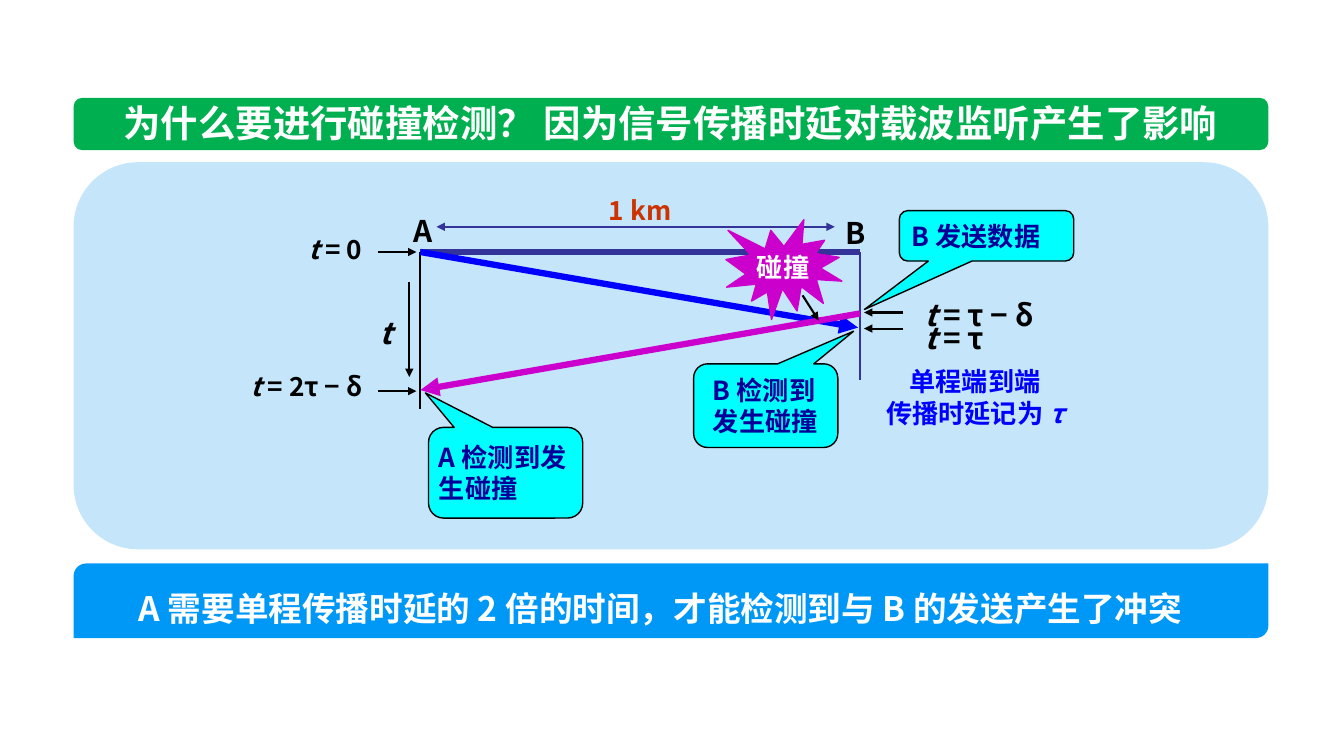
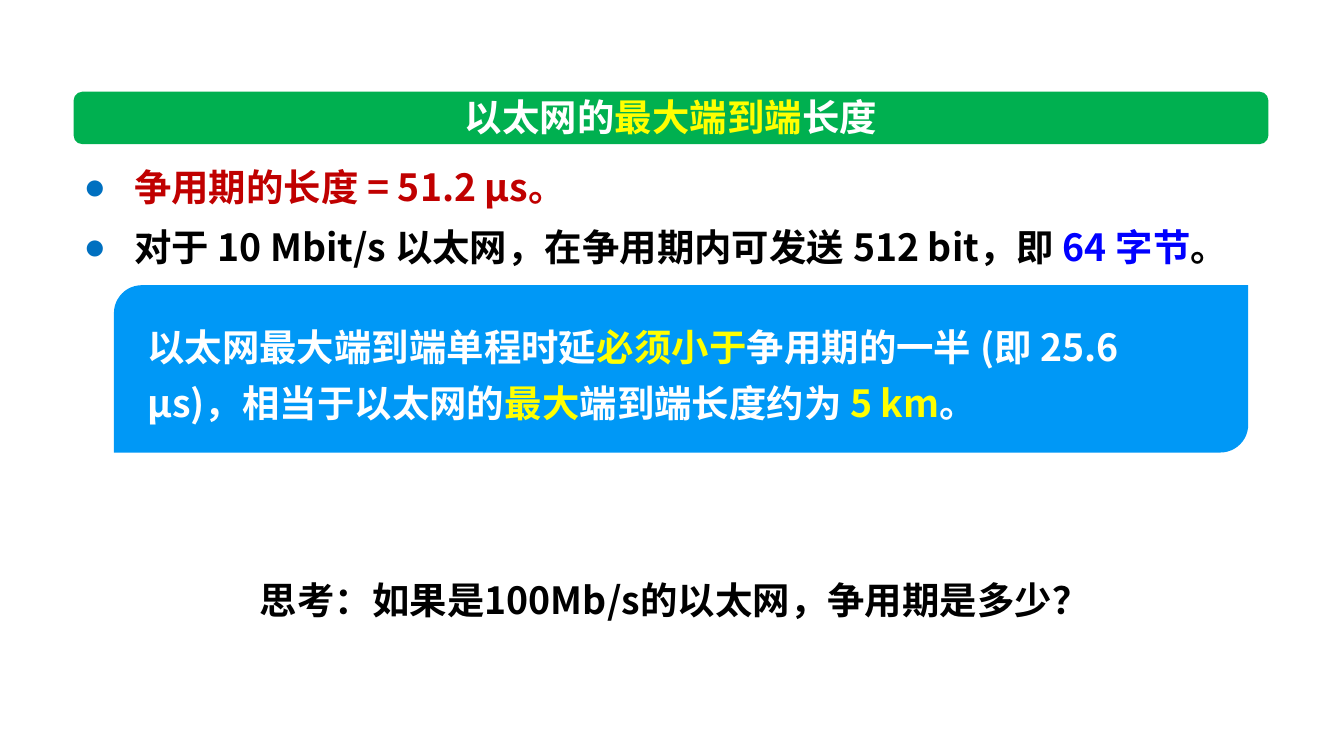
from lxml import etree
from pptx import Presentation
from pptx import util as u
from pptx.dml.color import RGBColor
from pptx.enum import shapes, text
from pptx.oxml.ns import qn

FONT = "Noto Sans CJK SC"
COLORS = {
    "green": "00B050", "blue": "0098F6", "panel": "C5E5FB", "white": "FFFFFF",
    "yellow": "FFFF00", "black": "000000", "indigo": "333399", "signal": "0000FF",
    "magenta": "CC00CC", "cyan": "00FFFF", "navy": "000099", "orange": "CC3300",
    "red": "C00000", "bullet": "0070C0",
}
TITLE_SIZE = 26.7
LABEL_SIZE = 18.7
LARGE_LABEL_SIZE = 21.3
BAND_LEFT, BAND_WIDTH = 0.73, 11.85
ALIGN = text.PP_ALIGN
ANCHOR = text.MSO_ANCHOR
PRESET = shapes.MSO_SHAPE


def rgb(name):
    return RGBColor.from_string(COLORS[name])


def box(left, top, width, height):
    return [u.Inches(value) for value in (left, top, width, height)]


# Text helpers
def write_paragraph(paragraph, pieces, size, align=ALIGN.LEFT, spacing=None):
    """Each piece is (text, colour) or (text, colour, italic)."""
    paragraph.alignment = align
    paragraph.space_before = u.Pt(0)
    if spacing:
        paragraph.line_spacing = u.Pt(spacing)
    for content, color, *italic in pieces:
        run = paragraph.add_run()
        run.text = content
        run.font.size = u.Pt(size)
        run.font.bold = True
        run.font.italic = bool(italic and italic[0])
        run.font.color.rgb = rgb(color)
        run.font.name = FONT
        east_asian = etree.SubElement(run.font._element, qn("a:ea"))
        east_asian.set("typeface", FONT)


def set_frame(shape, anchor=ANCHOR.TOP, left=0.1, top=0.05, right=0.1, wrap=True):
    frame = shape.text_frame
    frame.word_wrap = wrap
    frame.auto_size = text.MSO_AUTO_SIZE.NONE
    frame.vertical_anchor = anchor
    frame.margin_left, frame.margin_right = u.Inches(left), u.Inches(right)
    frame.margin_top, frame.margin_bottom = u.Inches(top), u.Inches(0.05)
    return frame


def place(shape, left, top, width, height):
    shape.left, shape.top, shape.width, shape.height = box(left, top, width, height)


def add_label(slide, bounds, lines, size=LABEL_SIZE, align=ALIGN.LEFT, anchor=ANCHOR.TOP):
    shape = slide.shapes.add_textbox(*box(*bounds))
    frame = set_frame(shape, anchor)
    for index, pieces in enumerate(lines):
        paragraph = frame.add_paragraph() if index else frame.paragraphs[0]
        write_paragraph(paragraph, pieces, size, align)


def add_bullet(paragraph):
    properties = paragraph._p.get_or_add_pPr()
    properties.set("marL", str(u.Inches(0.5)))
    properties.set("indent", str(-u.Inches(0.5)))
    color = etree.SubElement(properties, qn("a:buClr"))
    etree.SubElement(color, qn("a:srgbClr")).set("val", COLORS["bullet"])
    etree.SubElement(properties, qn("a:buChar")).set("char", "●")


# Shape helpers
def add_block(slide, preset, bounds, fill, outline=None, adjustments=()):
    shape = slide.shapes.add_shape(preset, *box(*bounds))
    shape.shadow.inherit = False
    shape.fill.solid()
    shape.fill.fore_color.rgb = rgb(fill)
    if outline:
        shape.line.color.rgb = rgb(outline)
        shape.line.width = u.Pt(1)
    else:
        shape.line.fill.background()
    for index, value in enumerate(adjustments):
        shape.adjustments[index] = value
    return shape


def add_title(slide, top, pieces):
    band = add_block(slide, PRESET.ROUNDED_RECTANGLE, (BAND_LEFT, top, BAND_WIDTH, 0.52), "green")
    title = slide.shapes.title
    title.element.addprevious(band.element)
    place(title, BAND_LEFT, top - 0.03, BAND_WIDTH, 0.55)
    frame = set_frame(title, ANCHOR.MIDDLE)
    write_paragraph(frame.paragraphs[0], pieces, TITLE_SIZE, ALIGN.CENTER)


def add_message(slide, bounds, pieces, size, spacing, left, top=0.05):
    shape = add_block(slide, PRESET.ROUND_2_DIAG_RECTANGLE, bounds, "blue")
    frame = set_frame(shape, ANCHOR.MIDDLE, left, top, right=0.2)
    write_paragraph(frame.paragraphs[0], pieces, size, spacing=spacing)


def add_callout(slide, bounds, pointer, content, left):
    shape = add_block(slide, PRESET.ROUNDED_RECTANGULAR_CALLOUT, bounds, "cyan", "black", pointer)
    frame = set_frame(shape, ANCHOR.MIDDLE, left, right=0)
    write_paragraph(frame.paragraphs[0], [(content, "navy")], LABEL_SIZE)


def add_line(slide, start, end, color="black", width=1.5, arrows=("tailEnd",)):
    points = [u.Inches(value) for value in (*start, *end)]
    line = slide.shapes.add_connector(shapes.MSO_CONNECTOR.STRAIGHT, *points)
    line.line.color.rgb = rgb(color)
    line.line.width = u.Pt(width)
    for arrow in arrows:
        etree.SubElement(line.line._get_or_add_ln(), qn(f"a:{arrow}")).set("type", "triangle")
    etree.SubElement(line.element.spPr, qn("a:effectLst"))


def time_pieces(value):
    return [[("t", "black", True), (f" = {value}", "black")]]


# Slides
def build_collision_slide(presentation):
    slide = presentation.slides.add_slide(presentation.slide_layouts[5])
    add_title(slide, 0.97, [("为什么要进行碰撞检测？ 因为信号传播时延对载波监听产生了影响", "white")])
    add_block(slide, PRESET.ROUNDED_RECTANGLE, (BAND_LEFT, 1.61, BAND_WIDTH, 3.84), "panel")

    # Stations, cable and time axes
    a_x, b_x, cable_y = 4.17, 8.53, 2.5
    add_line(slide, (a_x, cable_y), (b_x, cable_y), "indigo", 4.5, ())
    add_line(slide, (4.33, 2.25), (8.28, 2.25), "indigo", arrows=("headEnd", "tailEnd"))
    add_label(slide, (5.94, 1.88, 1, 0.45), [[("1 km", "orange")]])
    add_line(slide, (a_x, cable_y), (a_x, 4.06), arrows=())
    add_line(slide, (a_x, cable_y), (8.51, 3.25), "signal", 4.5)
    add_label(slide, (4, 2.06, 0.5, 0.49), [[("A", "black")]], LARGE_LABEL_SIZE)
    add_label(slide, (8.29, 2.08, 0.5, 0.49), [[("B", "black")]], LARGE_LABEL_SIZE)
    add_line(slide, (4.06, 2.8), (4.06, 3.74))
    add_label(slide, (3.67, 3.07, 0.4, 0.49), [[("t", "black", True)]], LARGE_LABEL_SIZE)
    add_line(slide, (b_x, cable_y), (b_x, 3.77), "indigo", arrows=())
    add_line(slide, (b_x, 3.11), (a_x, 3.87), "magenta", 4.5)

    # Collision burst
    add_line(slide, (7.96, 2.93), (8.12, 3.18))
    burst = add_block(slide, PRESET.EXPLOSION1, (7.2, 2.18, 1.15, 0.99), "magenta", "magenta")
    frame = set_frame(burst, ANCHOR.MIDDLE, wrap=False)
    write_paragraph(frame.paragraphs[0], [("碰撞", "white")], LABEL_SIZE, ALIGN.CENTER)

    # Moments on both time axes
    for y in (cable_y, 3.88):
        add_line(slide, (3.75, y), (4.13, y))
    for y in (3.1, 3.26):
        add_line(slide, (8.96, y), (8.57, y))
    for left, top, value, size in (
        (2.96, 2.27, "0", LABEL_SIZE),
        (2.39, 3.62, "2τ − δ", LABEL_SIZE),
        (9.07, 2.89, "τ − δ", LARGE_LABEL_SIZE),
        (9.07, 3.12, "τ", LARGE_LABEL_SIZE),
    ):
        add_label(slide, (left, top, 1.5, 0.46), time_pieces(value), size)

    # Callouts and delay note
    add_callout(slide, (4.25, 4.24, 1.53, 0.9), (-0.52, -0.88), "A 检测到发生碰撞", 0.06)
    add_callout(slide, (8.92, 2.09, 1.73, 0.5), (-0.7, 1.46), "B 发送数据", 0.1)
    add_callout(slide, (6.88, 3.61, 1.43, 0.83), (0.61, -0.89), "B 检测到发生碰撞", 0.15)
    note = [[("单程端到端", "signal")], [("传播时延记为 ", "signal"), ("τ", "signal", True)]]
    add_label(slide, (8.47, 3.58, 2.4, 0.73), note, align=ALIGN.CENTER)

    # Conclusion
    conclusion = [("A 需要单程传播时延的 2 倍的时间，才能检测到与 B 的发送产生了冲突", "white")]
    add_message(slide, (BAND_LEFT, 5.59, BAND_WIDTH, 0.74), conclusion, 24, 36, 0.61, 0.09)


def build_length_slide(presentation):
    slide = presentation.slides.add_slide(presentation.slide_layouts[1])
    add_title(slide, 0.91, [("以太网的", "white"), ("最大端到端", "yellow"), ("长度", "white")])

    # Contention period facts
    body = slide.placeholders[1]
    place(body, 0.73, 1.43, 12.11, 1.25)
    frame = set_frame(body)
    facts = [
        [("争用期的长度 = 51.2 μs。", "red")],
        [("对于 10 Mbit/s 以太网，在争用期内可发送 512 bit，即 ", "black"),
         ("64 字节", "signal"), ("。", "black")],
    ]
    for index, pieces in enumerate(facts):
        paragraph = frame.add_paragraph() if index else frame.paragraphs[0]
        add_bullet(paragraph)
        write_paragraph(paragraph, pieces, TITLE_SIZE, spacing=42.7)

    # Length limit
    limit = [
        ("以太网最大端到端单程时延", "white"), ("必须小于", "yellow"),
        ("争用期的一半 (即 25.6 μs)，相当于以太网的", "white"), ("最大", "yellow"),
        ("端到端长度约为 ", "white"), ("5 km", "yellow"), ("。", "white"),
    ]
    add_message(slide, (1.13, 2.83, 11.25, 1.66), limit, TITLE_SIZE, 40, 0.25)

    # Question
    question = [[("思考：如果是100Mb/s的以太网，争用期是多少？", "black")]]
    add_label(slide, (2.48, 5.67, 8.78, 0.55), question, TITLE_SIZE, anchor=ANCHOR.MIDDLE)


def main():
    presentation = Presentation()
    presentation.slide_width = u.Inches(13.33)
    presentation.slide_height = u.Inches(7.5)
    build_collision_slide(presentation)
    build_length_slide(presentation)
    presentation.save("out.pptx")


if __name__ == "__main__":
    main()
